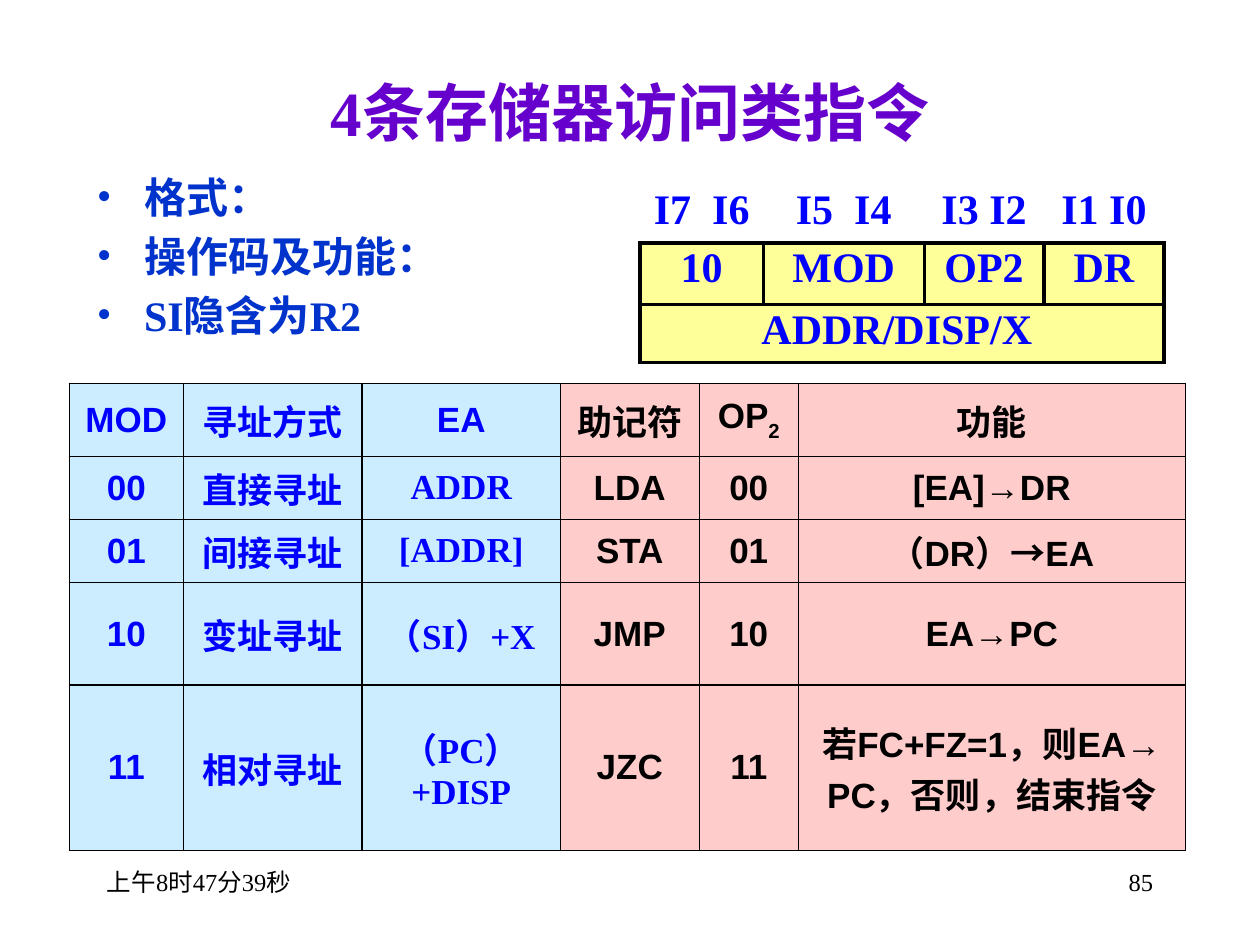
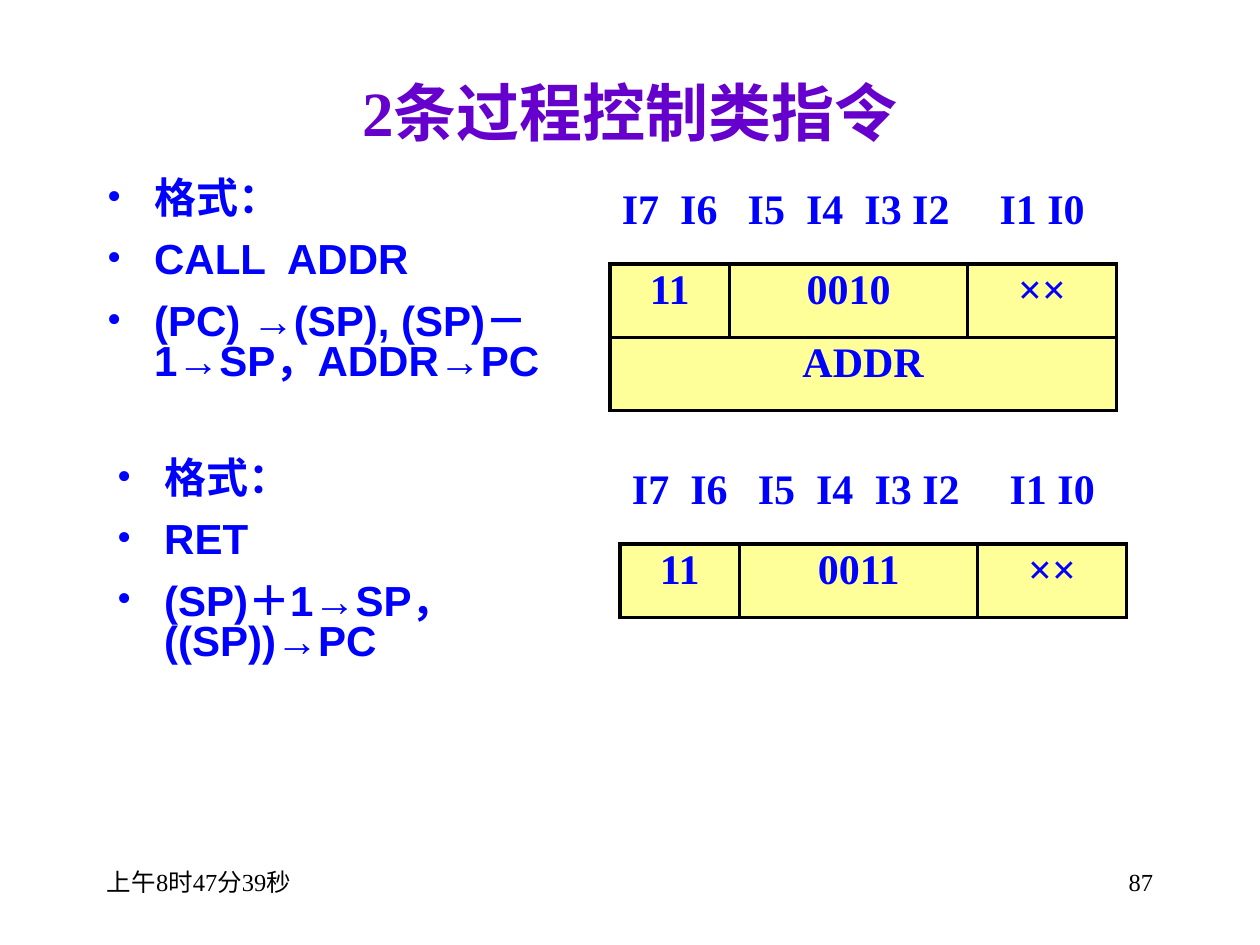
from lxml.etree import SubElement
from pptx import Presentation
from pptx.dml.color import RGBColor
from pptx.enum.text import MSO_ANCHOR, PP_ALIGN
from pptx.oxml.ns import qn
from pptx.util import Pt

HUES = {
    "title": "6600CC", "body": "0033CC", "blue": "0000FF", "black": "000000",
    "yellow": "FFFF99", "sky": "CCECFF", "pink": "FFCCCC",
}
SERIF, SANS = "Times New Roman", "Arial"
TITLE = {"name": SERIF, "size": Pt(36), "bold": True}
TEXT = {"name": SERIF, "size": Pt(24), "bold": True}
CODE = {**TEXT, "name": SANS}
CELL = {"name": SANS, "size": Pt(20), "bold": True}
FOOT = {"name": SERIF, "size": Pt(14), "bold": False}
LOOSE = {"space_before": Pt(4.8)}
TIGHT = {"space_before": Pt(7.2), "space_after": Pt(4.8), "line_spacing": 0.8}
SLIM = {f"margin_{side}": Pt(1.44) for side in ("left", "right", "top", "bottom")}
INDENT = 27
BITS = (68.4, 136.1, 85)


def apply(item, values):
    for key, value in values.items():
        setattr(item, key, value)


def write(para, text, font, hue, align=PP_ALIGN.LEFT):
    para.alignment = align
    run = para.add_run()
    run.text = text
    apply(run.font, font)
    run.font.color.rgb = RGBColor.from_string(HUES[hue])
    return run


def frame(slide, box):
    text = slide.shapes.add_textbox(*map(Pt, box)).text_frame
    text.word_wrap = True
    return text


def line(slide, box, text, font, hue, align, anchor=MSO_ANCHOR.TOP):
    body = frame(slide, box)
    body.vertical_anchor = anchor
    write(body.paragraphs[0], text, font, hue, align)


def bullets(slide, box, items, font, hue, gaps):
    body = frame(slide, box)
    for i, item in enumerate(items):
        para = body.paragraphs[0] if i == 0 else body.add_paragraph()
        apply(para, gaps)
        if i == 0:
            para.space_before = Pt(0)
        props = para._p.get_or_add_pPr()
        props.set("marL", str(Pt(INDENT)))
        props.set("indent", str(-Pt(INDENT)))
        SubElement(props, qn("a:buFont"), typeface=SERIF)
        SubElement(props, qn("a:buChar"), char="•")
        write(para, item, font, hue)


def edge(cell, sides, width):
    """Draw the given sides (of "LRTB") in black and clear the others."""
    props = cell._tc.get_or_add_tcPr()
    for side in "LRTB":
        rule = SubElement(props, qn(f"a:ln{side}"), w=str(Pt(width)))
        if side in sides:
            fill = SubElement(rule, qn("a:solidFill"))
            SubElement(fill, qn("a:srgbClr"), val=HUES["black"])
        else:
            SubElement(rule, qn("a:noFill"))


def grid(slide, spot, cols, rows):
    size = sum(cols), sum(rows)
    shape = slide.shapes.add_table(len(rows), len(cols), *map(Pt, spot + size))
    table = shape.table
    apply(table, {"first_row": False, "horz_banding": False})
    for col, width in zip(table.columns, cols):
        col.width = Pt(width)
    for row, height in zip(table.rows, rows):
        row.height = Pt(height)
    return table


def layout(slide, spot, cols, rows, bits, fields, wide=None):
    """Instruction word: bit numbers above its fields, then a full-width field."""
    table = grid(slide, spot, cols, rows)
    words = [bits, fields]
    if wide:
        words.append((wide,) + ("",) * (len(cols) - 1))
        table.cell(2, 0).merge(table.cell(2, len(cols) - 1))
    for r, row in enumerate(words):
        for c, text in enumerate(row):
            cell = table.cell(r, c)
            apply(cell, SLIM)
            edge(cell, "LRTB" if r else "B", 2.25)
            if r:
                cell.fill.solid()
                cell.fill.fore_color.rgb = RGBColor.from_string(HUES["yellow"])
            else:
                cell.fill.background()
            if text:
                write(cell.text_frame.paragraphs[0], text, TEXT, "blue", PP_ALIGN.CENTER)


def modes(slide, spot, cols, rows, words):
    """Addressing modes in the left three columns, operations in the right three."""
    table = grid(slide, spot, cols, rows)
    for r, row in enumerate(words):
        for c, text in enumerate(row):
            cell = table.cell(r, c)
            cell.vertical_anchor = MSO_ANCHOR.MIDDLE
            edge(cell, "LRTB", 1)
            fill, hue = ("sky", "blue") if c < 3 else ("pink", "black")
            cell.fill.solid()
            cell.fill.fore_color.rgb = RGBColor.from_string(HUES[fill])
            font = {**CELL, "name": SERIF if r and c in (1, 2) else SANS}
            write(cell.text_frame.paragraphs[0], text, font, hue, PP_ALIGN.CENTER)
    head = table.cell(0, 4).text_frame.paragraphs[0]
    sub = write(head, "2", CELL, "black", PP_ALIGN.CENTER)
    sub._r.get_or_add_rPr().set("baseline", "-30000")


def page(deck, title, number):
    slide = deck.slides.add_slide(deck.slide_layouts[6])
    line(slide, (54, 37.5, 612, 52), title, TITLE, "title",
         PP_ALIGN.CENTER, MSO_ANCHOR.MIDDLE)
    line(slide, (54, 492, 150, 36), "上午8时47分39秒", FOOT, "black", PP_ALIGN.LEFT)
    line(slide, (516, 492, 150, 36), number, FOOT, "black", PP_ALIGN.RIGHT)
    return slide


def memory(deck):
    slide = page(deck, "4条存储器访问类指令", "85")
    bullets(slide, (48.25, 94.5, 317.5, 108),
            ("格式：", "操作码及功能：", "SI隐含为R2"), TEXT, "body", LOOSE)
    layout(slide, (365.75, 105.75), (70.4, 92, 68.4, 68.6), (33.1, 35.2, 33.1),
           ("I7  I6", "I5  I4", "I3 I2", "I1 I0"),
           ("10", "MOD", "OP2", "DR"), "ADDR/DISP/X ")
    modes(slide, (39.6, 219), (65.2, 102.2, 113.2, 79.4, 56.6, 221.2),
          (41.8, 36, 36.2, 58.4, 94.6), (
              ("MOD", "寻址方式", "EA", "助记符", "OP", "功能"),
              ("00", "直接寻址", "ADDR", "LDA", "00", "[EA]→DR"),
              ("01", "间接寻址", "[ADDR]", "STA", "01", "（DR）→EA"),
              ("10", "变址寻址", "（SI）+X", "JMP", "10", "EA→PC"),
              ("11", "相对寻址", "（PC）+DISP", "JZC", "11",
               "若FC+FZ=1，则EA→ PC，否则，结束指令")))


def control(deck):
    slide = page(deck, "2条过程控制类指令", "87")
    bits = "I7  I6", "I5  I4  I3 I2", "I1 I0"
    calls = (
        (0, 0, ("CALL  ADDR", "(PC) →(SP), (SP)－1→SP，ADDR→PC"), "0010", "ADDR"),
        (5.75, 160, ("RET", "(SP)＋1→SP，((SP))→PC"), "0011", None),
    )
    for dx, dy, steps, code, wide in calls:
        bullets(slide, (54 + dx, 100 + dy, 272, 130),
                ("格式：",) + steps, CODE, "blue", TIGHT)
        rows = (45.2, 41.8, 41.8) if wide else (45.2, 41.8)
        layout(slide, (348.5 + dx, 105.75 + dy), BITS, rows,
               bits, ("11", code, "××"), wide)


def main():
    deck = Presentation()
    deck.slide_width, deck.slide_height = Pt(720), Pt(540)
    memory(deck)
    control(deck)
    deck.save("out.pptx")


if __name__ == "__main__":
    main()
